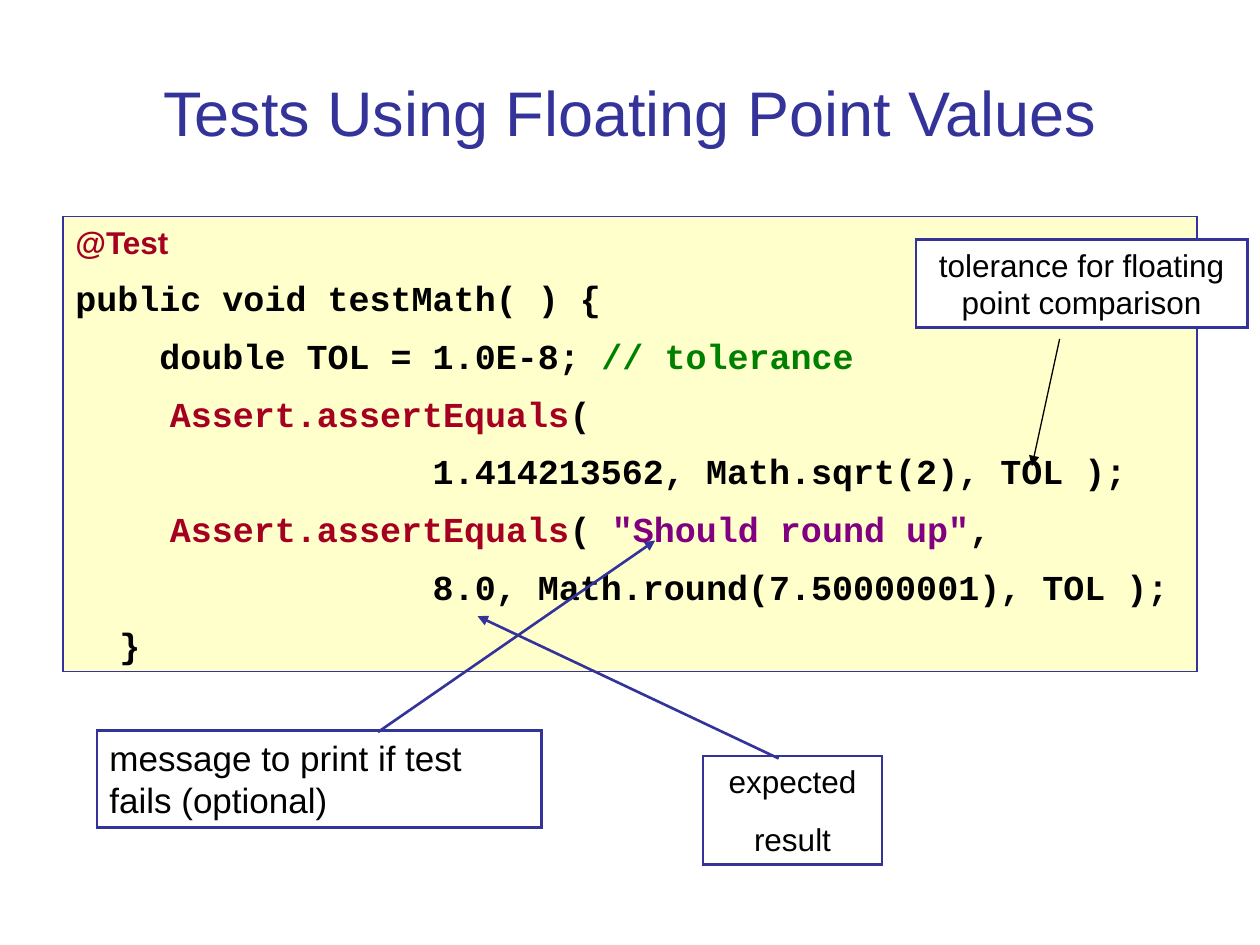
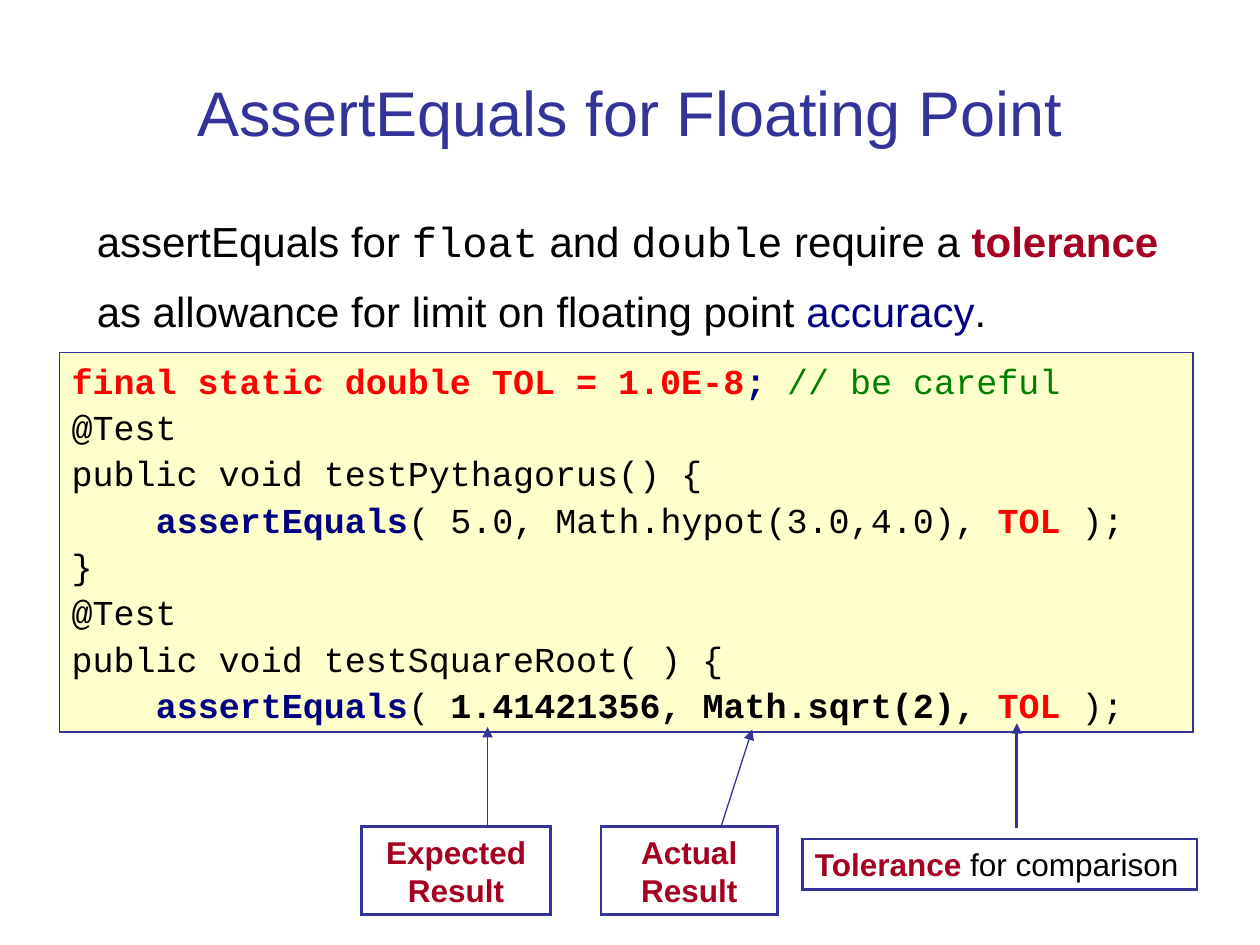
import pptx
import pptx.dml.color
import pptx.enum.shapes
import pptx.enum.text
import pptx.oxml
import pptx.oxml.ns
import pptx.util
from pptx.util import Inches

COLORS = {
    "indigo": "333399", "cream": "FFFFCC", "white": "FFFFFF", "black": "000000",
    "crimson": "A50021", "green": "008000", "purple": "800080", "navy": "000080",
    "red": "FF0000",
}
SANS, MONO = "Arial", "Courier New"
LEFT, CENTER = pptx.enum.text.PP_ALIGN.LEFT, pptx.enum.text.PP_ALIGN.CENTER
TOP, MIDDLE, BOTTOM = (pptx.enum.text.MSO_ANCHOR.TOP, pptx.enum.text.MSO_ANCHOR.MIDDLE,
                       pptx.enum.text.MSO_ANCHOR.BOTTOM)


def rgb(name):
    return pptx.dml.color.RGBColor.from_string(COLORS[name])


def append_element(parent, tag, attributes=""):
    parent.append(pptx.oxml.parse_xml(
        f'<a:{tag} {pptx.oxml.ns.nsdecls("a")} {attributes}/>'))


def write_text(shape, paragraphs, size, font=SANS, color="black", bold=False,
               align=LEFT, anchor=TOP, space_before=0, line_spacing=None):
    """Each paragraph is a list of (text, overrides) runs; "\\n" is a line break."""
    frame = shape.text_frame
    frame.word_wrap = True
    frame.vertical_anchor = anchor
    for index, runs in enumerate(paragraphs):
        paragraph = frame.add_paragraph() if index else frame.paragraphs[0]
        paragraph.alignment = align
        paragraph.space_before = pptx.util.Pt(space_before if index else 0)
        if line_spacing:
            paragraph.line_spacing = line_spacing
        for text, style in runs:
            if text == "\n":
                paragraph.add_line_break()
                continue
            run = paragraph.add_run()
            run.text = text
            run.font.name = style.get("font", font)
            run.font.size = pptx.util.Pt(style.get("size", size))
            run.font.bold = style.get("bold", bold)
            run.font.color.rgb = rgb(style.get("color", color))
    return frame


def add_text(slide, box, paragraphs, size, **style):
    shape = slide.shapes.add_textbox(*map(Inches, box))
    write_text(shape, paragraphs, size, **style)


def add_title(slide, title):
    add_text(slide, (0.67, 0.28, 8.66, 0.95), [[(title, {})]], 36,
             color="indigo", align=CENTER, anchor=BOTTOM)


def set_line(line, color, width):
    line.color.rgb = rgb(color)
    line.width = pptx.util.Pt(width)
    element = line._get_or_add_ln()
    append_element(element, "miter", 'lim="800000"')
    return element


def add_panel(slide, box, paragraphs, size, fill=None, line_width=1.5, **style):
    shape = slide.shapes.add_shape(pptx.enum.shapes.MSO_SHAPE.RECTANGLE, *map(Inches, box))
    shape.shadow.inherit = False
    if fill:
        shape.fill.solid()
        shape.fill.fore_color.rgb = rgb(fill)
    else:
        shape.fill.background()
    set_line(shape.line, "indigo", line_width)
    return write_text(shape, paragraphs, size, **style)


def add_code(slide, box, lines, **style):
    return add_panel(slide, box, lines, 20, fill="cream", line_width=0.75, font=MONO, **style)


def add_arrow(slide, start, end, color="indigo", width=1.5):
    connector = slide.shapes.add_connector(
        pptx.enum.shapes.MSO_CONNECTOR.STRAIGHT, *map(Inches, start + end))
    append_element(set_line(connector.line, color, width), "tailEnd", 'type="triangle"')
    append_element(connector._element.spPr, "effectLst")


def build_floating_point_tests(slide):
    add_title(slide, "Tests Using Floating Point Values")

    # Code panel, with some lines indented by a margin
    assert_call = ("Assert.assertEquals", {"color": "crimson"})
    argument_indent = " " * 17
    lines = [
        (0, [("@Test", {"font": SANS, "size": 18, "color": "crimson"})]),
        (0, [("public void testMath( ) {", {})]),
        (0, [("    double TOL = 1.0E-8; ", {}), ("// tolerance", {"color": "green"})]),
        (0.75, [assert_call, ("(", {})]),
        (0, [(argument_indent + "1.414213562, Math.sqrt(2), TOL );", {})]),
        (0.75, [assert_call, ("( ", {}), ('"Should round up"', {"color": "purple"}), (",", {})]),
        (0, [(argument_indent + "8.0, Math.round(7.50000001), TOL );", {})]),
        (0.35, [("}", {})]),
    ]
    frame = add_code(slide, (0.5, 1.72, 9, 3.61), [runs for _, runs in lines],
                     bold=True, space_before=9)
    for paragraph, (indent, _) in zip(frame.paragraphs, lines):
        paragraph._p.get_or_add_pPr().set("marL", str(Inches(indent)))

    # Callouts
    add_panel(slide, (0.77, 5.8, 3.53, 0.77),
              [[("message to print if test fails (optional)", {})]], 20)
    add_panel(slide, (5.58, 6, 1.42, 0.86), [[("expected", {})], [("result", {})]], 18,
              align=CENTER, space_before=11.2)
    add_panel(slide, (7.27, 1.9, 2.63, 0.7),
              [[("tolerance for floating point comparison", {})]], 18,
              fill="white", align=CENTER)
    add_arrow(slide, (3, 5.81), (5.2, 4.29))
    add_arrow(slide, (6.18, 6.02), (3.79, 4.89))
    add_arrow(slide, (8.41, 2.69), (8.19, 3.7), color="black", width=0.75)


def build_assert_equals(slide):
    add_title(slide, "AssertEquals for Floating Point")

    # Introduction
    mono = {"font": MONO}
    key_term = {"color": "crimson", "bold": True}
    add_text(slide, (0.67, 1.5, 8.66, 1.3), [[
        ("assertEquals for ", {}), ("float", mono), (" and ", {}), ("double", mono),
        (" require a ", {}), ("tolerance", key_term),
        (" as allowance for limit on floating point ", {}),
        ("accuracy", {"color": "navy"}), (".", {})]], 24, line_spacing=1.4)

    # Code panel
    constant = {"color": "red", "bold": True}
    assert_call = [("    ", {}), ("assertEquals", {"color": "navy", "bold": True})]
    call_end = [("TOL", constant), (" );", {})]
    add_code(slide, (0.47, 2.8, 9, 3.01), [
        [("final static double TOL = 1.0E-8", constant),
         (";", {"color": "navy", "bold": True}), (" // be careful", {"color": "green"})],
        [("@Test", {})],
        [("public void testPythagorus() {", {})],
        assert_call + [("( 5.0, Math.hypot(3.0,4.0), ", {})] + call_end,
        [("}", {})],
        [("@Test", {})],
        [("public void testSquareRoot( ) {", {})],
        assert_call + [("( ", {}), ("1.41421356, Math.sqrt(2), ", {"bold": True})] + call_end,
    ], space_before=2.5)

    # Callouts for the three arguments
    add_panel(slide, (6.37, 6.66, 3.13, 0.4),
              [[("Tolerance", key_term), (" for comparison", {})]], 18)
    for left, width, word in ((2.87, 1.5, "Expected"), (4.77, 1.4, "Actual")):
        add_panel(slide, (left, 6.56, width, 0.7),
                  [[(word, key_term), ("\n", {}), ("Result", key_term)]], 18,
                  align=CENTER, anchor=MIDDLE)
    add_arrow(slide, (8.07, 6.57), (8.07, 5.74))
    add_arrow(slide, (5.72, 6.57), (5.97, 5.79), width=0.75)
    add_arrow(slide, (3.87, 6.57), (3.87, 5.77), width=0.75)


def main():
    presentation = pptx.Presentation()
    presentation.slide_width, presentation.slide_height = Inches(10), Inches(7.5)
    for build in (build_floating_point_tests, build_assert_equals):
        build(presentation.slides.add_slide(presentation.slide_layouts[6]))
    presentation.save("out.pptx")


if __name__ == "__main__":
    main()
